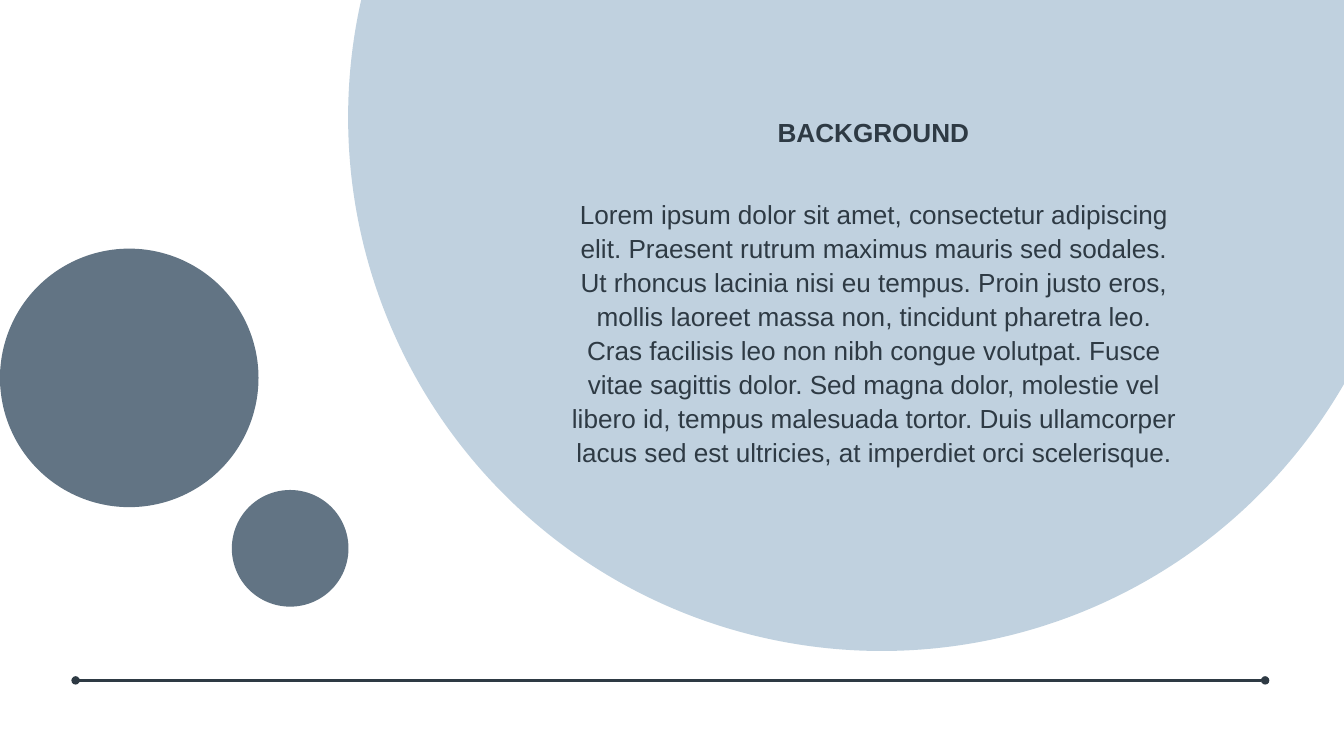
import pptx
import pptx.dml.color
import pptx.enum.shapes
import pptx.enum.text
import pptx.oxml
import pptx.oxml.ns
import pptx.util

Pt = pptx.util.Pt
PALE, SLATE, INK = "C0D1DF", "627484", "2E3A44"

BODY = (
    "Lorem ipsum dolor sit amet, consectetur adipiscing elit. "
    "Praesent rutrum maximus mauris sed sodales. Ut rhoncus lacinia nisi eu tempus. "
    "Proin justo eros, mollis laoreet massa non, tincidunt pharetra leo. "
    "Cras facilisis leo non nibh congue volutpat. Fusce vitae sagittis dolor. "
    "Sed magna dolor, molestie vel libero id, tempus malesuada tortor. "
    "Duis ullamcorper lacus sed est ultricies, at imperdiet orci scelerisque."
)


def color(value):
    return pptx.dml.color.RGBColor.from_string(value)


def add_circle(page, left, top, diameter, fill):
    circle = page.shapes.add_shape(
        pptx.enum.shapes.MSO_SHAPE.OVAL,
        Pt(left), Pt(top), Pt(diameter), Pt(diameter),
    )
    circle.shadow.inherit = False
    circle.fill.solid()
    circle.fill.fore_color.rgb = color(fill)
    circle.line.fill.background()


def add_dotted_end_line(page, left, right, y, stroke, width):
    """Draw a horizontal line with a round dot at each end."""
    line = page.shapes.add_connector(
        pptx.enum.shapes.MSO_CONNECTOR.STRAIGHT, Pt(left), Pt(y), Pt(right), Pt(y)
    )
    line.line.color.rgb = color(stroke)
    line.line.width = Pt(width)
    outline = line.line._get_or_add_ln()
    for end in ("a:headEnd", "a:tailEnd"):
        dot = pptx.oxml.ns.qn(end)
        outline.append(outline.makeelement(dot, {"type": "oval"}))
    properties = line._element.spPr
    properties.append(properties.makeelement(pptx.oxml.ns.qn("a:effectLst"), {}))


def add_text(page, text, left, top, width, height, *, spacing, size=28, bold=False, fill=INK):
    box = page.shapes.add_textbox(Pt(left), Pt(top), Pt(width), Pt(height))
    frame = box.text_frame
    frame.word_wrap = True
    frame.margin_left = frame.margin_right = frame.margin_top = frame.margin_bottom = 0
    para = frame.paragraphs[0]
    para.alignment = pptx.enum.text.PP_ALIGN.CENTER
    para.line_spacing = Pt(spacing)
    span = para.add_run()
    span.text = text
    span.font.name = "Arial"
    span.font.size = Pt(size)
    span.font.bold = bold
    span.font.color.rgb = color(fill)


def main():
    deck = pptx.Presentation()
    deck.slide_width, deck.slide_height = Pt(1440), Pt(810)
    page = deck.slides.add_slide(deck.slide_layouts[6])

    add_circle(page, 373, -446, 1143.5, PALE)
    add_circle(page, 0, 266.4, 277, SLATE)
    add_dotted_end_line(page, 81, 1355.5, 729, INK, 3)
    add_circle(page, 248.4, 525, 125, SLATE)
    add_text(page, "BACKGROUND", 589, 53.3, 693.4, 118, spacing=105, bold=True)
    add_text(page, BODY, 612.7, 209.5, 646.6, 286.6, spacing=36.4)

    deck.save("out.pptx")


if __name__ == "__main__":
    main()
